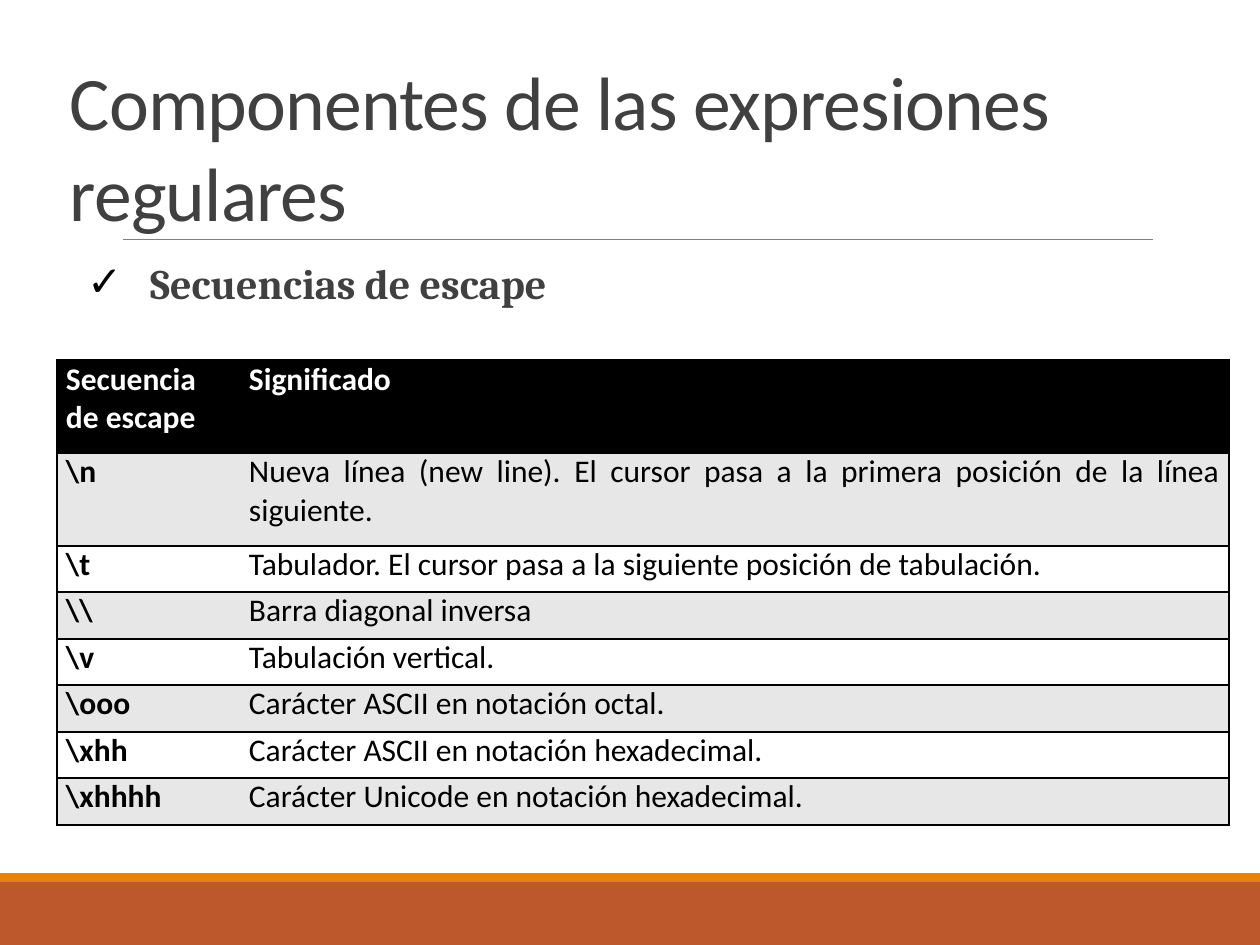
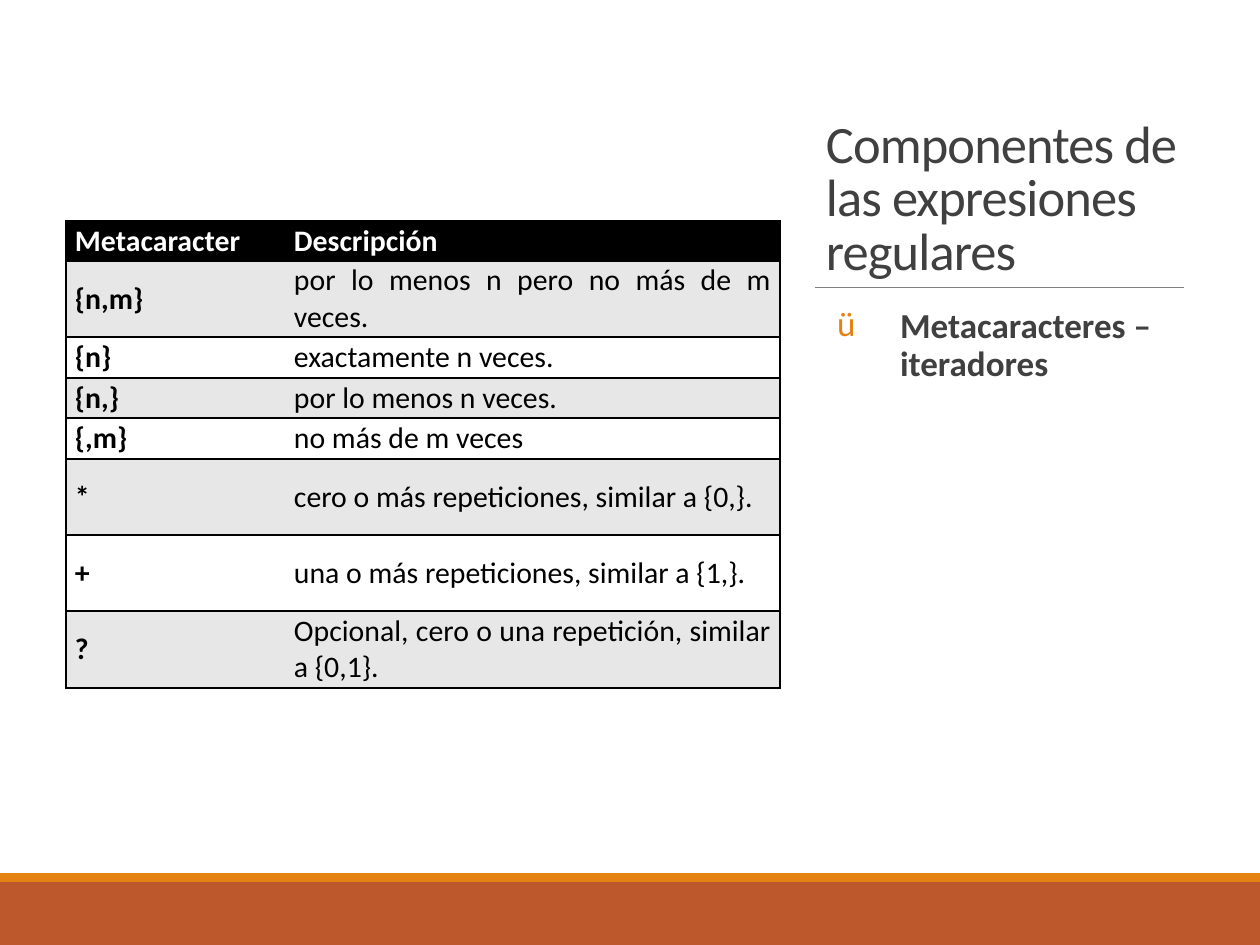
import pptx
import pptx.dml.color
import pptx.enum.shapes
import pptx.enum.text
import pptx.oxml
import pptx.oxml.ns
import pptx.util
from lxml import etree

COLORS = {
    "brick": "BD582C",
    "orange": "E48312",
    "rule": "808080",
    "heading": "404040",
    "black": "000000",
    "white": "FFFFFF",
    "stripe": "E7E7E7",
}
FONT = "Calibri"
TITLE = "Componentes de las expresiones regulares"
PLAIN_TABLE_STYLE = "{2D5ABB26-0587-4C30-8999-92F81FD0307C}"
SLIDE_WIDTH, SLIDE_HEIGHT = 1260, 945
ANCHOR = pptx.enum.text.MSO_ANCHOR
ALIGN = pptx.enum.text.PP_ALIGN

ESCAPES = [
    ("Secuencia de escape", "Significado"),
    ("\\n", "Nueva línea (new line). El cursor pasa a la primera posición de la línea siguiente."),
    ("\\t", "Tabulador. El cursor pasa a la siguiente posición de tabulación."),
    ("\\\\", "Barra diagonal inversa"),
    ("\\v", "Tabulación vertical."),
    ("\\ooo", "Carácter ASCII en notación octal."),
    ("\\xhh", "Carácter ASCII en notación hexadecimal."),
    ("\\xhhhh", "Carácter Unicode en notación hexadecimal."),
]
ITERATORS = [
    ("Metacaracter", "Descripción"),
    ("{n,m}", "por lo menos n pero no más de m veces."),
    ("{n}", "exactamente n veces."),
    ("{n,}", "por lo menos n veces."),
    ("{,m}", "no más de m veces"),
    ("*", "cero o más repeticiones, similar a {0,}."),
    ("+", "una o más repeticiones, similar a {1,}."),
    ("?", "Opcional, cero o una repetición, similar a {0,1}."),
]


def px(length):
    return pptx.util.Emu(round(length * 914400 / 126))


def rgb(name):
    return pptx.dml.color.RGBColor.from_string(COLORS[name])


def add_xml(parent, tag, **attributes):
    return etree.SubElement(parent, pptx.oxml.ns.qn(tag), attributes)


def style_font(paragraph, size, color, bold=False, name=FONT):
    paragraph.font.name = name
    paragraph.font.size = pptx.util.Pt(size)
    paragraph.font.bold = bold
    paragraph.font.color.rgb = rgb(color)


def set_insets(frame, horizontal, vertical):
    frame.margin_left = frame.margin_right = px(horizontal)
    frame.margin_top = frame.margin_bottom = px(vertical)


def add_bands(slide):
    for top, height, color in ((882, 63, "brick"), (873, 9, "orange")):
        band = slide.shapes.add_shape(
            pptx.enum.shapes.MSO_SHAPE.RECTANGLE, 0, px(top), px(SLIDE_WIDTH), px(height))
        band.shadow.inherit = False
        band.fill.solid()
        band.fill.fore_color.rgb = rgb(color)
        band.line.fill.background()


def add_rule(slide, left, right, top):
    rule = slide.shapes.add_connector(
        pptx.enum.shapes.MSO_CONNECTOR.STRAIGHT, px(left), px(top), px(right), px(top))
    rule.line.color.rgb = rgb("rule")
    rule.line.width = pptx.util.Pt(0.5)
    add_xml(rule._element.spPr, "a:effectLst")


def set_title(slide, box, size, anchor, inset, line_spacing):
    title = slide.shapes.title
    title.left, title.top, title.width, title.height = map(px, box)
    frame = title.text_frame
    frame.text = TITLE
    frame.word_wrap = True
    frame.auto_size = pptx.enum.text.MSO_AUTO_SIZE.NONE
    frame.vertical_anchor = anchor
    set_insets(frame, inset, 6)
    paragraph = frame.paragraphs[0]
    paragraph.alignment = ALIGN.LEFT
    paragraph.line_spacing = line_spacing
    style_font(paragraph, size, "heading")
    paragraph.runs[0].font._element.set("spc", "-50")


def add_bullet(slide, box, text, size, font, inset, bullet, bullet_color, line_spacing):
    frame = slide.shapes.add_textbox(*map(px, box)).text_frame
    frame.word_wrap = True
    set_insets(frame, inset, 6)
    paragraph = frame.paragraphs[0]
    paragraph.text = text
    paragraph.line_spacing = line_spacing
    style_font(paragraph, size, "heading", True, font)
    properties = paragraph._p.get_or_add_pPr()
    properties.set("marL", str(px(87)))
    properties.set("indent", str(px(-63)))
    default_font = properties.find(pptx.oxml.ns.qn("a:defRPr"))
    bullet_fill = add_xml(properties, "a:buClr")
    add_xml(bullet_fill, "a:srgbClr", val=COLORS[bullet_color])
    add_xml(properties, "a:buFont", typeface=FONT)
    add_xml(properties, "a:buChar", char=bullet)
    properties.append(default_font)


def add_borders(cell, sides):
    properties = cell._tc.get_or_add_tcPr()
    for side in sides:
        line = add_xml(properties, f"a:ln{side}", w=str(pptx.util.Pt(1)))
        add_xml(add_xml(line, "a:solidFill"), "a:srgbClr", val=COLORS["black"])


def add_striped_table(slide, left, top, widths, heights, rows, size, anchor):
    table = slide.shapes.add_table(
        len(rows), len(widths), px(left), px(top), px(sum(widths)), px(sum(heights))).table
    table._tbl.tblPr.find(pptx.oxml.ns.qn("a:tableStyleId")).text = PLAIN_TABLE_STYLE
    for column, width in zip(table.columns, widths):
        column.width = px(width)
    for row_index, (texts, height) in enumerate(zip(rows, heights)):
        table.rows[row_index].height = px(height)
        header = row_index == 0
        fill = "black" if header else "stripe" if row_index % 2 else "white"
        for column_index, text in enumerate(texts):
            cell = table.cell(row_index, column_index)
            cell.text = text
            cell.vertical_anchor = anchor
            set_insets(cell, 9, 0)
            add_borders(cell, "RTB" if column_index else "LTB")
            cell.fill.solid()
            cell.fill.fore_color.rgb = rgb(fill)
            paragraph = cell.text_frame.paragraphs[0]
            paragraph.alignment = ALIGN.JUSTIFY
            style_font(paragraph, size, "white" if header else "black",
                       header or column_index == 0)


def add_slide(presentation):
    slide = presentation.slides.add_slide(presentation.slide_layouts.get_by_name("Title Only"))
    add_bands(slide)
    return slide


def build_escape_slide(presentation):
    slide = add_slide(presentation)
    add_rule(slide, 123, 1153, 239)
    set_title(slide, (64, 106, 1150, 79), 43.2, ANCHOR.MIDDLE, 6, 1)
    add_bullet(slide, (57, 251, 1143, 80), "Secuencias de escape", 24, "Cambria",
               6, "✓", "black", 1)
    add_striped_table(slide, 57, 360, (183, 989), [93, 93] + [46, 47] * 3,
                      ESCAPES, 18, ANCHOR.TOP)


def build_iterator_slide(presentation):
    slide = add_slide(presentation)
    set_title(slide, (813, 87, 382, 200), 30, ANCHOR.BOTTOM, 13, 0.85)
    add_rule(slide, 815, 1184, 287)
    add_bullet(slide, (813, 302, 382, 505), "Metacaracteres – iteradores", 20, FONT,
               0, "ü", "orange", 0.9)
    add_striped_table(slide, 66, 221, (219, 495), (40, 76, 41, 40, 41, 76, 76, 77),
                      ITERATORS, 17, ANCHOR.MIDDLE)


def main():
    presentation = pptx.Presentation()
    presentation.slide_width = px(SLIDE_WIDTH)
    presentation.slide_height = px(SLIDE_HEIGHT)
    build_escape_slide(presentation)
    build_iterator_slide(presentation)
    presentation.save("out.pptx")


if __name__ == "__main__":
    main()
